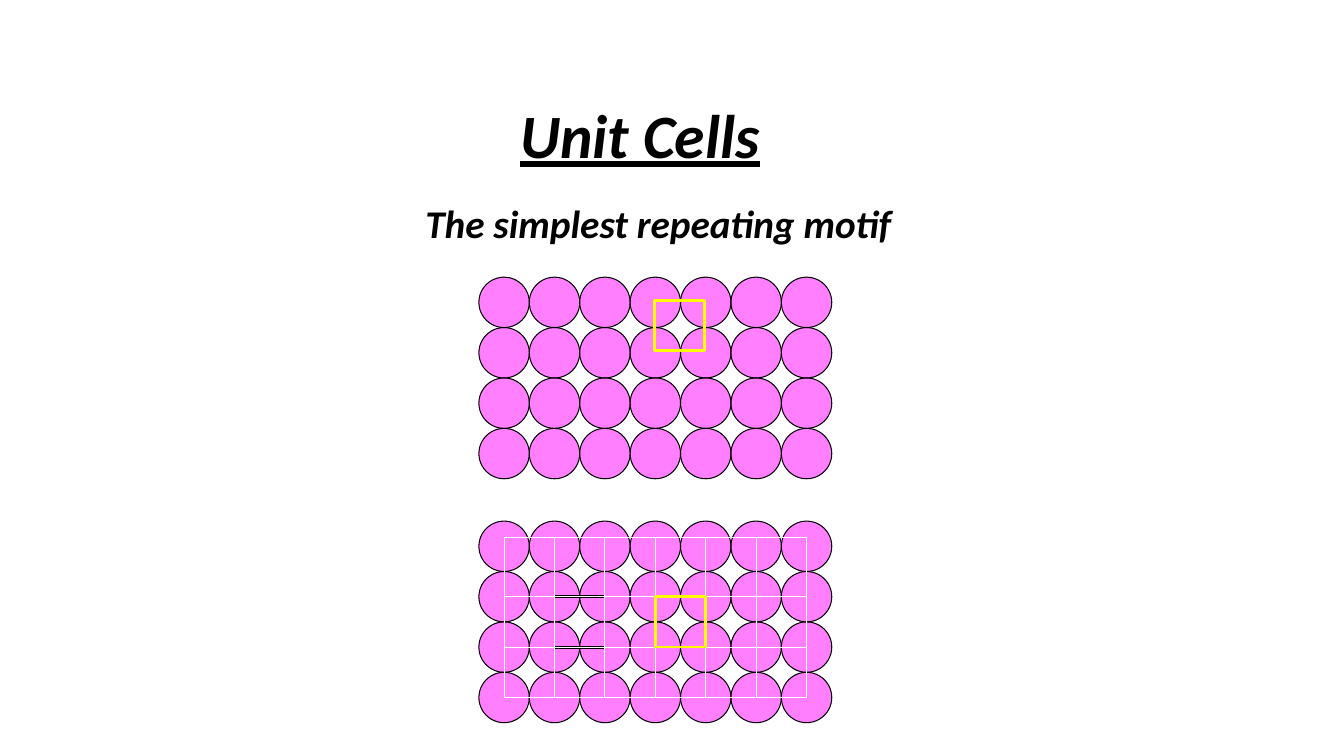
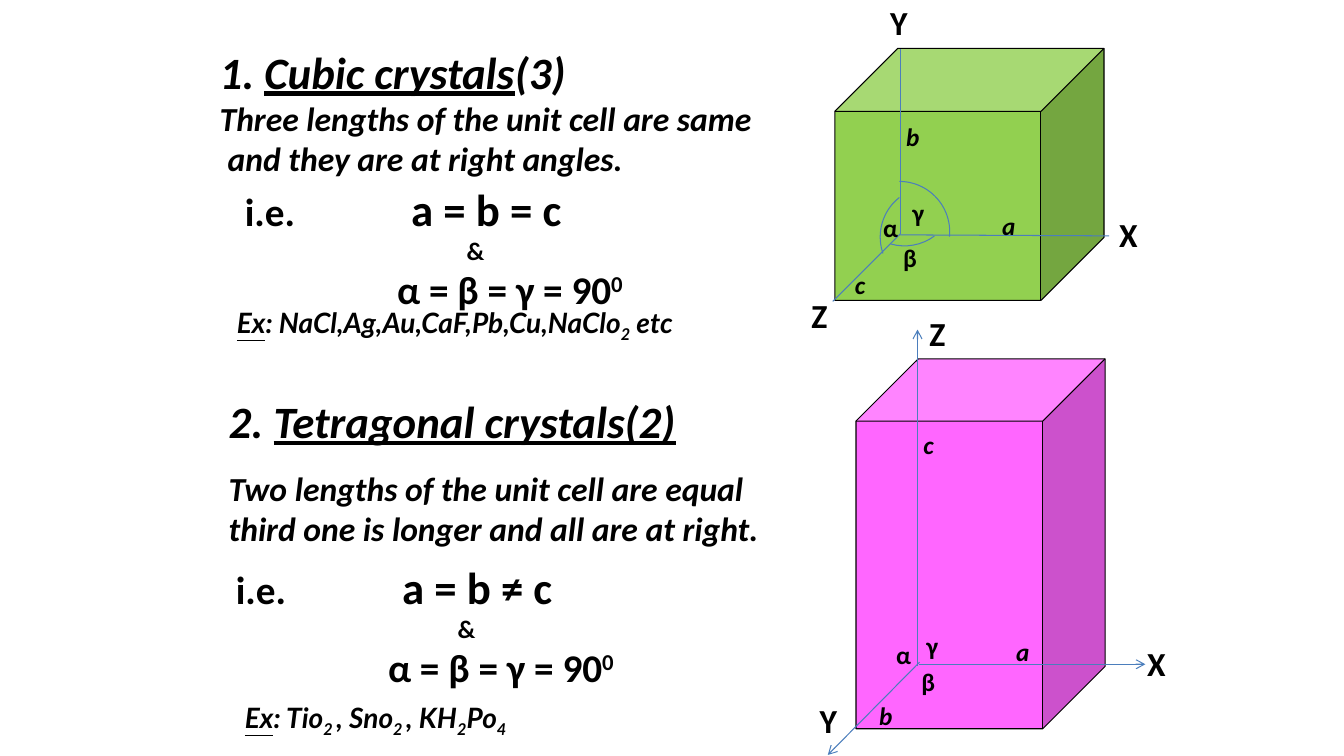
import pptx
import pptx.dml.color
import pptx.enum.shapes
import pptx.enum.text
import pptx.oxml.ns
import pptx.util
from lxml import etree

Inches = pptx.util.Inches
Pt = pptx.util.Pt
RGBColor = pptx.dml.color.RGBColor
SHAPE = pptx.enum.shapes.MSO_SHAPE
qn = pptx.oxml.ns.qn

BLACK = RGBColor(0, 0, 0)
WHITE = RGBColor(255, 255, 255)
MAGENTA = RGBColor(255, 0, 255)
PINK = RGBColor(255, 102, 255)
GREEN = RGBColor(146, 208, 80)
YELLOW = RGBColor(255, 255, 0)
AXIS_BLUE = RGBColor(75, 126, 188)

# Lattices of touching atoms
COLUMNS, ROWS, PITCH = 7, 4, 0.5
LATTICE_LEFT = 4.75
PLAIN_TOP, GRIDDED_TOP = 2.75, 5.17
PLAIN_CELL = (6.49, 2.98)
GRIDDED_CELL = (6.5, 5.92)
GRID_LEFT, GRID_RIGHT = 5, 8
GRID_ROWS = (5.33, 5.92, 6.42, 6.92)
BLACK_BAR = (5.5, 6)

# Run marks: "u" underlined, "sup" and "sub" raised and lowered
BASELINES = {"sup": "30000", "sub": "-25000"}

UNIT_CELL_TEXTS = [
    dict(box=(4.12, 1.93, 4.88, 0.57), lines=[
        dict(size=28, runs=[("The simplest repeating motif", "")])]),
    dict(box=(5.06, 0.91, 2.61, 0.84), lines=[
        dict(size=44, runs=[("Unit Cells", "u")])]),
]


def conditions(left, top, lengths):
    """Text block that states the rule for edge lengths and angles."""
    return dict(box=(left, top, 4.01, 1.41), italic=False, wrap=True, lines=[
        dict(size=28, tab=1.65, runs=[("i.e.\t", ""), (lengths, "big")]),
        dict(size=18, indent=2.2, runs=[("&", "")]),
        dict(size=28, indent=1.51, runs=[("α = β = γ = 90", ""), ("0", "sup")]),
    ])


CRYSTAL_TEXTS = [
    dict(box=(2.08, 0.39, 5.58, 1.45), wrap=True, lines=[
        dict(size=32, runs=[("1. ", ""), ("Cubic crystals", "u"), ("(3)", "")]),
        dict(size=24, runs=[("Three lengths of the unit cell are same", "")]),
        dict(size=24, indent=0.08, runs=[("and they are at right angles.", "")])]),
    conditions(2.33, 1.75, "a = b = c"),
    dict(box=(2.25, 2.98, 4.95, 0.44), font="Lato", wrap=True, lines=[
        dict(size=20, runs=[("Ex", "u"), (": NaCl,Ag,Au,CaF,Pb,Cu,NaClo", ""),
                            ("2", "sub"), (" etc", "")])]),
    dict(box=(2.17, 3.86, 4.68, 0.64), lines=[
        dict(size=32, runs=[("2. ", ""), ("Tetragonal crystals(2)", "u")])]),
    dict(box=(2.17, 4.59, 5.5, 0.91), lines=[
        dict(size=24, runs=[("Two lengths of the unit cell are equal", "")]),
        dict(size=24, runs=[("third one is longer and all are at right.", "")])]),
    conditions(2.24, 5.5, "a = b ≠ c"),
    dict(box=(2.33, 6.9, 3.12, 0.44), font="Lato", lines=[
        dict(size=20, runs=[("Ex", "u"), (": Tio", ""), ("2 ", "sub"), (", Sno", ""),
                            ("2 ", "sub"), (", KH", ""), ("2", "sub"), ("Po", ""),
                            ("4", "sub")])]),
]

# Axes: start, end. Arcs: left, top, rotation, start and end angle in degrees.
CRYSTALS = [
    dict(body=(8.28, 0.48, 2.67, 2.5), fill=GREEN, arrows=False,
         axes=[((8.93, 0.49), (8.93, 2.32)), ((8.92, 2.33), (11, 2.34)),
               ((8.26, 2.99), (8.93, 2.32))],
         arcs=[(8.73, 1.85, 250.9, 270, 340.71), (8.42, 1.8, 0, 270, 5.44),
               (8.47, 1.44, 109.5, 303.95, 356.32)],
         labels=[("Y", 8.73, -0.03), ("Z", 7.95, 2.88), ("X", 11, 2.07),
                 ("α", 8.66, 2.06), ("β", 8.86, 2.35), ("γ", 8.95, 1.91),
                 ("a", 9.84, 2.04), ("b", 8.89, 1.15), ("c", 8.38, 2.62)]),
    dict(body=(8.49, 3.56, 2.47, 3.67), fill=PINK, arrows=True,
         axes=[((9.11, 6.59), (11.36, 6.59)), ((9.1, 6.61), (9.1, 3.27)),
               ((9.12, 6.57), (8.21, 7.49))],
         arcs=[],
         labels=[("X", 11.28, 6.33), ("Z", 9.12, 3.06), ("Y", 8.03, 6.89),
                 ("α", 8.79, 6.29), ("β", 9.04, 6.56), ("γ", 9.09, 6.2),
                 ("a", 9.98, 6.26), ("b", 8.62, 6.9), ("c", 9.06, 4.21)]),
]
LABEL_WIDTHS = dict(X=0.39, Y=0.38, Z=0.36, α=0.35, β=0.34, γ=0.32, a=0.34, b=0.34, c=0.31)


def add_text(shapes, box, lines, font="Calibri", italic=True, wrap=False):
    frame = shapes.add_textbox(*map(Inches, box)).text_frame
    frame.word_wrap = wrap
    frame.auto_size = pptx.enum.text.MSO_AUTO_SIZE.SHAPE_TO_FIT_TEXT
    for number, line in enumerate(lines):
        paragraph = frame.add_paragraph() if number else frame.paragraphs[0]
        paragraph.font.name = font
        paragraph.font.size = Pt(line["size"])
        paragraph.font.bold = True
        paragraph.font.italic = italic
        paragraph.font.color.rgb = BLACK
        properties = paragraph._p.get_or_add_pPr()
        if "indent" in line:
            properties.set("marL", str(Inches(line["indent"])))
        if "tab" in line:
            stops = etree.Element(qn("a:tabLst"))
            etree.SubElement(stops, qn("a:tab"), pos=str(Inches(line["tab"])), algn="l")
            properties.insert(0, stops)
        for words, mark in line["runs"]:
            run = paragraph.add_run()
            run.text = words
            if mark == "u":
                run.font.underline = True
            elif mark == "big":
                run.font.size = Pt(32)
            elif mark in BASELINES:
                run._r.get_or_add_rPr().set("baseline", BASELINES[mark])


def add_outlined(shapes, preset, box, line_color=BLACK, width=0.75, fill=None, alpha=None):
    shape = shapes.add_shape(preset, *map(Inches, box))
    shape.shadow.inherit = False
    shape.line.color.rgb = line_color
    shape.line.width = Pt(width)
    if fill is None:
        shape.fill.background()
    else:
        shape.fill.solid()
        shape.fill.fore_color.rgb = fill
    if alpha is not None:
        color = shape._element.spPr.find(qn("a:solidFill"))[0]
        etree.SubElement(color, qn("a:alpha"), val=str(alpha * 1000))
    return shape


def add_line(shapes, start, end, color, width=0.75, arrow=False):
    line = shapes.add_connector(pptx.enum.shapes.MSO_CONNECTOR.STRAIGHT,
                                *map(Inches, start + end))
    line.line.color.rgb = color
    line.line.width = Pt(width)
    if arrow:
        etree.SubElement(line.line._get_or_add_ln(), qn("a:tailEnd"), type="arrow")
    etree.SubElement(line._element.spPr, qn("a:effectLst"))


def add_atoms(shapes, top):
    for row in range(ROWS):
        for column in range(COLUMNS):
            add_outlined(shapes, SHAPE.OVAL,
                         (LATTICE_LEFT + column * PITCH, top + row * PITCH, PITCH, PITCH),
                         fill=MAGENTA, alpha=50)


def add_grid(shapes):
    for y in GRID_ROWS[1:3]:
        add_line(shapes, (BLACK_BAR[0], y), (BLACK_BAR[1], y), BLACK, 2.25)
    for column in range(COLUMNS):
        x = GRID_LEFT + column * PITCH
        add_line(shapes, (x, GRID_ROWS[0]), (x, GRID_ROWS[-1]), WHITE)
    for y in GRID_ROWS:
        add_line(shapes, (GRID_LEFT, y), (GRID_RIGHT, y), WHITE)


def add_unit_cell(shapes, corner):
    add_outlined(shapes, SHAPE.RECTANGLE, corner + (PITCH, PITCH), YELLOW, 2)


def add_crystal(shapes, crystal):
    add_outlined(shapes, SHAPE.CUBE, crystal["body"], fill=crystal["fill"])
    for start, end in crystal["axes"]:
        add_line(shapes, start, end, AXIS_BLUE, arrow=crystal["arrows"])
    for left, top, rotation, first, last in crystal["arcs"]:
        arc = add_outlined(shapes, SHAPE.ARC, (left, top, 1, 1), AXIS_BLUE)
        arc.rotation = rotation
        # One degree is 60000 units; adjustments count in 100000 units
        arc.adjustments[0], arc.adjustments[1] = first * 0.6, last * 0.6
    for letter, left, top in crystal["labels"]:
        size, height = (24, 0.5) if letter in "XYZ" else (18, 0.4)
        add_text(shapes, (left, top, LABEL_WIDTHS[letter], height),
                 [dict(size=size, runs=[(letter, "")])], italic=letter in "abc")


def add_slide(deck, texts):
    shapes = deck.slides.add_slide(deck.slide_layouts[6]).shapes
    for text in texts:
        add_text(shapes, **text)
    return shapes


def main():
    deck = pptx.Presentation()
    deck.slide_width, deck.slide_height = Inches(13.33), Inches(7.5)

    unit_cells = add_slide(deck, UNIT_CELL_TEXTS)
    gridded = unit_cells.add_group_shape().shapes
    add_atoms(gridded, GRIDDED_TOP)
    add_grid(gridded)
    add_unit_cell(gridded, GRIDDED_CELL)
    plain = unit_cells.add_group_shape().shapes
    add_atoms(plain, PLAIN_TOP)
    add_unit_cell(plain, PLAIN_CELL)

    crystals = add_slide(deck, CRYSTAL_TEXTS)
    for crystal in CRYSTALS:
        add_crystal(crystals.add_group_shape().shapes, crystal)

    deck.save("out.pptx")


if __name__ == "__main__":
    main()
